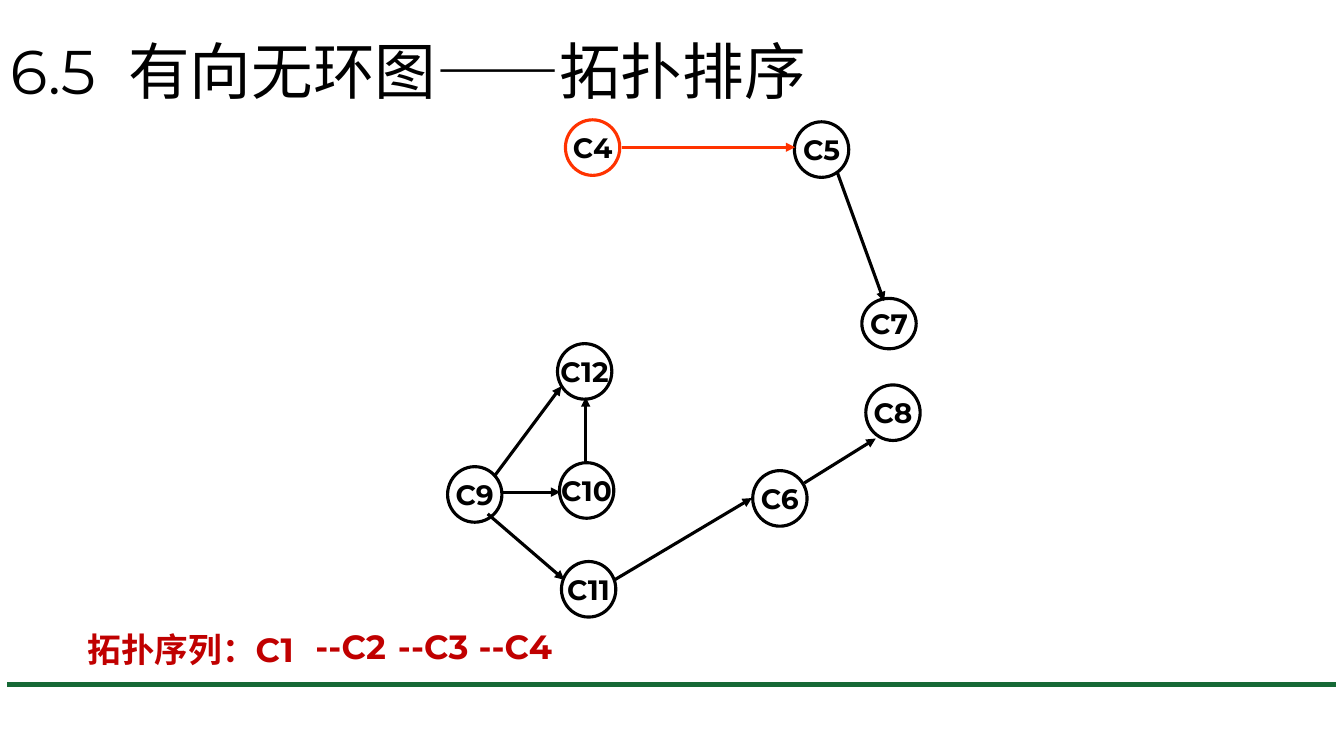
from pptx import Presentation
from pptx.dml.color import RGBColor
from pptx.enum.shapes import MSO_CONNECTOR, MSO_SHAPE
from pptx.enum.text import MSO_ANCHOR, PP_ALIGN
from pptx.oxml.ns import qn
from pptx.util import Cm, Pt
from lxml import etree

STRAIGHT = MSO_CONNECTOR.STRAIGHT
OVAL = MSO_SHAPE.OVAL
MIDDLE = MSO_ANCHOR.MIDDLE
CENTER = PP_ALIGN.CENTER

BLACK = RGBColor(0x00, 0x00, 0x00)
ORANGE = RGBColor(0xFF, 0x33, 0x00)
RED = RGBColor(0xC0, 0x00, 0x00)
GREEN = RGBColor(0x16, 0x69, 0x36)
FONT = "Montserrat"

# All lengths are in centimetres.
TITLE_NUMBER, TITLE_WORDS = "6.5", "有向无环图——拓扑排序"
NODE_WIDTH, NODE_HEIGHT = 1.37, 1.4
# name, left, top, height, colour
COURSES = [
    ("C4", 14.25, 3.02, NODE_HEIGHT, ORANGE),
    ("C5", 20.02, 3.07, NODE_HEIGHT, BLACK),
    ("C6", 18.97, 11.86, NODE_HEIGHT, BLACK),
    ("C7", 21.72, 7.52, 1.27, BLACK),
    ("C8", 21.82, 9.7, NODE_HEIGHT, BLACK),
    ("C9", 11.28, 11.76, NODE_HEIGHT, BLACK),
    ("C10", 14.1, 11.66, NODE_HEIGHT, BLACK),
    ("C11", 14.15, 14.15, NODE_HEIGHT, BLACK),
    ("C12", 14.05, 8.66, NODE_HEIGHT, BLACK),
]
# start, end, colour
PREREQUISITES = [
    ((15.67, 3.71), (20.04, 3.71), ORANGE),   # C4 to C5
    ((21.11, 4.37), (22.28, 7.59), BLACK),    # C5 to C7
    ((12.45, 12.01), (14.15, 9.73), BLACK),   # C9 to C12
    ((12.65, 12.4), (14.12, 12.4), BLACK),    # C9 to C10
    ((14.76, 11.66), (14.76, 10.01), BLACK),  # C10 to C12
    ((12.29, 12.95), (14.22, 14.61), BLACK),  # C9 to C11
    ((15.49, 14.61), (18.95, 12.55), BLACK),  # C11 to C6
    ((20.27, 12.17), (22.07, 11.05), BLACK),  # C6 to C8
]
# text, left, top, width
SEQUENCE = [
    ("拓扑序列：C1", 1.96, 15.62, 6.12),
    ("--C2", 7.7, 15.54, 2.62),
    ("--C3", 9.78, 15.54, 2.87),
    ("--C4", 11.81, 15.54, 2.87),
]


def style(para, size, color, bold):
    para.font.name = FONT
    para.font.size = Pt(size)
    para.font.bold = bold
    para.font.color.rgb = color


def add_line(page, start, end, color, width):
    line = page.shapes.add_connector(STRAIGHT, *map(Cm, start + end))
    line.line.color.rgb = color
    line.line.width = Pt(width)
    etree.SubElement(line._element.spPr, qn("a:effectLst"))
    return line


def add_text(page, left, top, width, height):
    box = page.shapes.add_textbox(Cm(left), Cm(top), Cm(width), Cm(height))
    box.text_frame.word_wrap = True
    return box.text_frame


def add_title(page):
    frame = add_text(page, 0, 0.03, 29.21, 3.68)
    frame.vertical_anchor = MIDDLE
    para = frame.paragraphs[0]
    para.line_spacing = 0.9
    style(para, 44, BLACK, False)
    para.add_run().text = TITLE_NUMBER
    gap = para.add_run()
    gap.text = " "
    gap._r.get_or_add_rPr().set("spc", "1150")  # widens the single space
    para.add_run().text = TITLE_WORDS


def add_course(page, name, left, top, height, color):
    node = page.shapes.add_shape(OVAL, Cm(left), Cm(top), Cm(NODE_WIDTH), Cm(height))
    node.shadow.inherit = False
    node.fill.background()
    node.line.color.rgb = color
    node.line.width = Pt(2.25)
    frame = node.text_frame
    frame.word_wrap = False
    frame.vertical_anchor = MIDDLE
    para = frame.paragraphs[0]
    para.text = name
    para.alignment = CENTER
    style(para, 20, BLACK, True)


def add_arrow(page, start, end, color):
    arrow = add_line(page, start, end, color, 2.25)
    etree.SubElement(arrow.line._get_or_add_ln(), qn("a:tailEnd"), type="triangle")


def add_sequence_part(page, text, left, top, width):
    para = add_text(page, left, top, width, 1.32).paragraphs[0]
    para.text = text
    para.line_spacing = 1.1
    para.space_before = Pt(5)
    style(para, 24, RED, True)


def main():
    deck = Presentation()
    deck.slide_width, deck.slide_height = Cm(33.87), Cm(19.05)
    page = deck.slides.add_slide(deck.slide_layouts[6])
    add_line(page, (0.18, 17.25), (33.68, 17.25), GREEN, 3.75)
    add_title(page)
    for course in COURSES:
        add_course(page, *course)
    for prerequisite in PREREQUISITES:
        add_arrow(page, *prerequisite)
    for part in SEQUENCE:
        add_sequence_part(page, *part)
    deck.save("out.pptx")


if __name__ == "__main__":
    main()
